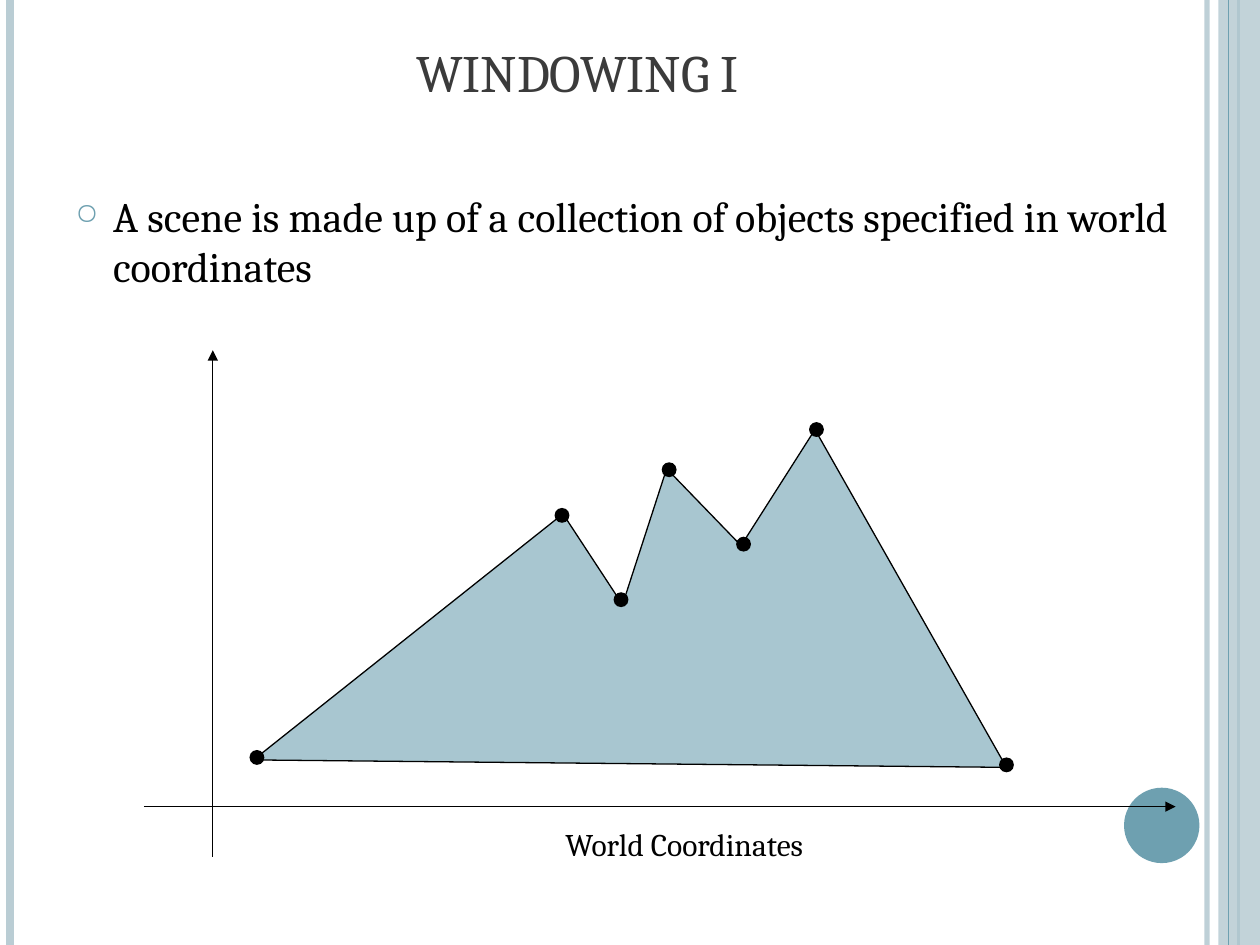
from lxml import etree
from pptx import Presentation
from pptx import util as u
from pptx.dml import color
from pptx.enum import shapes, text
from pptx.oxml import ns

COLORS = {
    "band": "BACDD4",
    "accent": "6EA0B0",
    "title": "3B3B3B",
    "mountain": "A8C6D0",
    "ink": "000000",
}
FONT = "Cambria"
WIDTH, HEIGHT = 25.4, 19.05
DOT_SIZE = 0.3

# Side rules: x, line width, colour, opacity in percent
RULES_BEHIND = [
    (24.33, 3, "band", 93),
    (0.2, 4.5, "band", 100),
    (24.97, 1.5, "accent", 100),
]
RULE_IN_FRONT = (24.77, 0.75, "accent", 100)

MOUNTAIN = [
    (5.11, 15.32), (11.35, 10.36), (12.55, 12.19), (13.44, 9.45),
    (14.94, 11), (16.43, 8.66), (20.29, 15.47),
]
DOTS = [
    (11.33, 10.39), (5.18, 15.27), (12.52, 12.09), (13.49, 9.47),
    (14.99, 10.97), (16.46, 8.66), (20.29, 15.42),
]


def rgb(name):
    return color.RGBColor.from_string(COLORS[name])


def set_values(target, values):
    for name, value in values.items():
        setattr(target, name, value)


def add_child(parent, tag, **attributes):
    return etree.SubElement(parent, ns.qn(tag), **attributes)


def set_opacity(fill, percent):
    """Give a solid fill, of a shape or of a line, an opacity."""
    if percent < 100:
        add_child(fill, "a:alpha", val=str(percent * 1000))


def add_line(slide, start, end, width, color_name, opacity=100, arrow=False):
    line = slide.shapes.add_connector(
        shapes.MSO_CONNECTOR.STRAIGHT, *map(u.Cm, (*start, *end)))
    line.line.color.rgb = rgb(color_name)
    line.line.width = u.Pt(width)
    properties = line._element.spPr
    set_opacity(properties.find(".//" + ns.qn("a:srgbClr")), opacity)
    if arrow:
        add_child(properties.find(ns.qn("a:ln")), "a:tailEnd", type="triangle")
    add_child(properties, "a:effectLst")


def add_rule(slide, x, width, color_name, opacity):
    add_line(slide, (x, 0), (x, HEIGHT), width, color_name, opacity)


def add_filled(slide, kind, box, color_name, opacity=100):
    shape = slide.shapes.add_shape(kind, *map(u.Cm, box))
    shape.shadow.inherit = False
    shape.fill.solid()
    shape.fill.fore_color.rgb = rgb(color_name)
    shape.line.fill.background()
    set_opacity(shape._element.spPr.find(".//" + ns.qn("a:srgbClr")), opacity)


def add_text(slide, box, words, size, color_name, frame_format=None,
             alignment=text.PP_ALIGN.LEFT, bullet=None):
    frame = slide.shapes.add_textbox(*map(u.Cm, box)).text_frame
    set_values(frame, {"word_wrap": True, **(frame_format or {})})
    paragraph = frame.paragraphs[0]
    paragraph.text = words
    paragraph.alignment = alignment
    if bullet:
        add_bullet(paragraph, bullet)
    set_values(paragraph.font, {"name": FONT, "size": u.Pt(size)})
    paragraph.font.color.rgb = rgb(color_name)


def add_bullet(paragraph, character):
    properties = paragraph._p.get_or_add_pPr()
    indent = u.Cm(0.76)
    properties.set("marL", str(indent))
    properties.set("indent", str(-indent))
    bullet_color = add_child(properties, "a:buClr")
    add_child(bullet_color, "a:srgbClr", val=COLORS["accent"])
    add_child(properties, "a:buSzPct", val="70000")
    add_child(properties, "a:buChar", char=character)


def add_mountain(slide):
    points = [(u.Cm(x), u.Cm(y)) for x, y in MOUNTAIN]
    builder = slide.shapes.build_freeform(*points[0])
    builder.add_line_segments(points[1:], close=True)
    shape = builder.convert_to_shape()
    shape.shadow.inherit = False
    shape.fill.solid()
    shape.fill.fore_color.rgb = rgb("mountain")
    shape.line.color.rgb = rgb("ink")
    shape.line.width = u.Pt(0.75)


def add_decoration(slide):
    for rule in RULES_BEHIND:
        add_rule(slide, *rule)
    add_filled(slide, shapes.MSO_SHAPE.RECTANGLE,
               (24.56, 0, 0.84, HEIGHT), "band", 87)
    add_rule(slide, *RULE_IN_FRONT)
    add_filled(slide, shapes.MSO_SHAPE.OVAL,
               (22.66, 15.88, 1.52, 1.52), "accent")


def add_diagram(slide):
    add_mountain(slide)
    for start, end in [((2.9, 16.26), (23.7, 16.26)),
                       ((4.29, 17.27), (4.29, 7.06))]:
        add_line(slide, start, end, 0.75, "ink", arrow=True)
    for x, y in DOTS:
        box = (x - DOT_SIZE / 2, y - DOT_SIZE / 2, DOT_SIZE, DOT_SIZE)
        add_filled(slide, shapes.MSO_SHAPE.OVAL, box, "ink")


def main():
    presentation = Presentation()
    set_values(presentation, {"slide_width": u.Cm(WIDTH),
                              "slide_height": u.Cm(HEIGHT)})
    slide = presentation.slides.add_slide(presentation.slide_layouts[6])
    add_decoration(slide)
    add_text(slide, (1.27, 0, 20.75, 2.21), "WINDOWING I", 30, "title",
             {"vertical_anchor": text.MSO_ANCHOR.BOTTOM},
             text.PP_ALIGN.CENTER)
    add_text(slide, (1.27, 3.71, 22.86, 4.01),
             "A scene is made up of a collection of objects specified "
             "in world coordinates", 24, "ink", bullet="○")
    add_text(slide, (11.15, 16.51, 5.36, 1.02), "World Coordinates", 18, "ink",
             {"word_wrap": False,
              "auto_size": text.MSO_AUTO_SIZE.SHAPE_TO_FIT_TEXT})
    add_diagram(slide)
    presentation.save("out.pptx")


if __name__ == "__main__":
    main()
